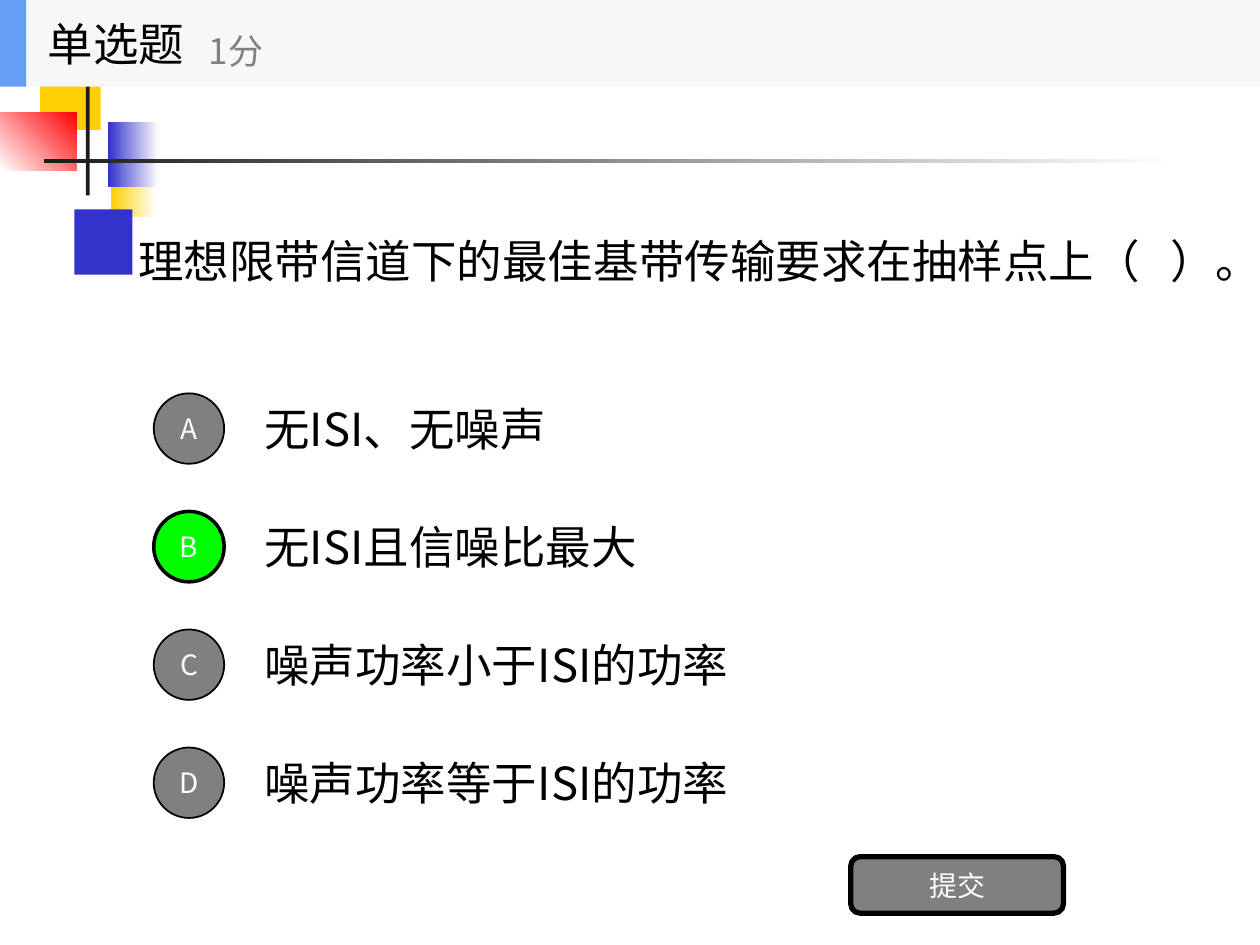
from pptx import Presentation
from pptx.dml.color import RGBColor
from pptx.enum.shapes import MSO_SHAPE as Shape
from pptx.enum.text import MSO_ANCHOR as Anchor, PP_ALIGN as Align
from pptx.oxml.ns import qn
from pptx.util import Cm, Pt
from lxml import etree

FONT = "Noto Sans CJK SC"
COLORS = {
    "black": "000000", "white": "FFFFFF", "gray": "808080", "green": "00FF00",
    "band": "F6F7F8", "accent": "639EF4", "yellow": "FFCF01",
    "indigo": "3333CC", "red": "FF0000", "ink": "1C1C1C",
}
OPTIONS = ["无ISI、无噪声", "无ISI且信噪比最大", "噪声功率小于ISI的功率", "噪声功率等于ISI的功率"]
CORRECT = "B"


def color(name):
    """Return the named colour as an RGBColor."""
    return RGBColor.from_string(COLORS[name])


def set_text(shape, text, size, color_name, align=Align.LEFT):
    """Write one vertically centred paragraph into a shape."""
    frame = shape.text_frame
    frame.text = text
    frame.word_wrap = True
    frame.vertical_anchor = Anchor.MIDDLE
    paragraph = frame.paragraphs[0]
    paragraph.alignment = align
    font = paragraph.runs[0].font
    font.size = Pt(size)
    font.name = FONT
    font.color.rgb = color(color_name)
    latin = font._element.find(qn("a:latin"))
    east_asian = etree.Element(qn("a:ea"), typeface=FONT)
    latin.addnext(east_asian)


def add_label(slide, box, text, size=26, color_name="black"):
    """Add a text box at the given left, top, width and height."""
    label = slide.shapes.add_textbox(*map(Cm, box))
    set_text(label, text, size, color_name)


def add_block(slide, box, fill, kind=Shape.RECTANGLE, end=None, angle=0, line=0):
    """Add a preset shape with a solid or two-colour gradient fill."""
    shape = slide.shapes.add_shape(kind, *map(Cm, box))
    shape.shadow.inherit = False
    if end:
        shape.fill.gradient()
        shape.fill.gradient_angle = angle
        for stop, name, position in zip(shape.fill.gradient_stops, (fill, end), (0, 1)):
            stop.color.rgb = color(name)
            stop.position = position
    else:
        shape.fill.solid()
        shape.fill.fore_color.rgb = color(fill)
    if line:
        shape.line.color.rgb = color("black")
        shape.line.width = Pt(line)
    else:
        shape.line.fill.background()
    return shape


def add_button(slide, box, text, kind, fill="gray", line=1):
    """Add an outlined shape with a centred white caption."""
    button = add_block(slide, box, fill, kind, line=line)
    set_text(button, text, 16, "white", Align.CENTER)
    frame = button.text_frame
    frame.margin_left = frame.margin_right = frame.margin_top = frame.margin_bottom = 0


def add_ornament(slide, left, top):
    """Draw the overlapping colour blocks and the crossing rules."""
    blocks = [
        (2.24, 2.03, 0.91, 1.32, "yellow", "white", 0),
        (1.5, 3.2, 1.17, 1.32, "indigo", None, 0),
        (0.81, 0.28, 1.22, 1.32, "yellow", None, 0),
        (2.18, 1.44, 1.02, 1.32, "indigo", "white", 0),
        (0, 1.24, 1.55, 1.17, "white", "red", 45),
        (1.73, 0, 0.08, 2.92, "ink", None, 0),
        (0.89, 2.18, 22.86, 0.08, "ink", "white", 0),
    ]
    for x, y, width, height, fill, end, angle in blocks:
        add_block(slide, (left + x, top + y, width, height), fill, end=end, angle=angle)


def add_options(slide, left, top, width, pitch=2.38):
    """Stack the lettered answers, with the correct one highlighted."""
    row_height, diameter, indent = 1.78, 1.42, 1.98
    for index, (letter, text) in enumerate(zip("ABCD", OPTIONS)):
        row = top + index * pitch
        add_label(slide, (left + indent, row, width - indent, row_height), text)
        fill, line = ("green", 2) if letter == CORRECT else ("gray", 1)
        circle = (left, row + (row_height - diameter) / 2, diameter, diameter)
        add_button(slide, circle, letter, Shape.OVAL, fill, line)


def add_header(slide, left, top, width, height):
    """Draw the title band with the question type and its score."""
    add_block(slide, (left, top, width, height), "band")
    add_block(slide, (left, top, 0.53, height), "accent")
    add_label(slide, (left + 0.71, top, 5.28, height), "单选题")
    add_label(slide, (left + 3.96, top + 0.31, 6.35, 1.42), "1分", 20, "gray")


def main():
    """Build and save the quiz slide."""
    presentation = Presentation()
    presentation.slide_width, presentation.slide_height = Cm(25.4), Cm(19.05)
    slide = presentation.slides.add_slide(presentation.slide_layouts[6])
    add_ornament(slide, 0, 1.02)
    add_label(slide, (2.54, 3.2, 22.86, 4.11), "理想限带信道下的最佳基带传输要求在抽样点上（   ）。")
    add_options(slide, 3.1, 7.75, 19.76)
    add_button(slide, (17.15, 17.27, 4.29, 1.14), "提交", Shape.ROUNDED_RECTANGLE, line=3)
    add_header(slide, 0, 0, 25.4, 1.75)
    presentation.save("out.pptx")


if __name__ == "__main__":
    main()
